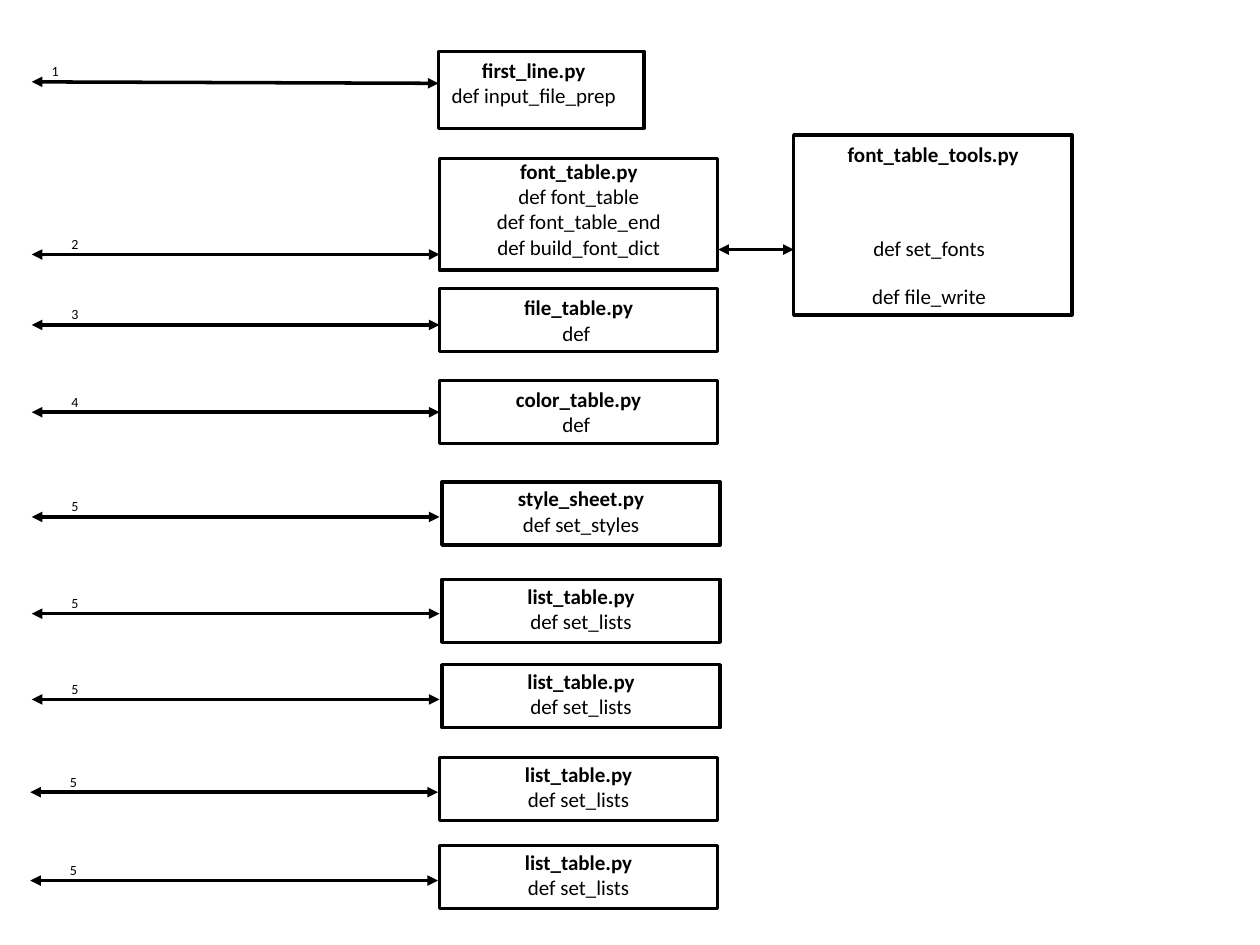
from pptx import Presentation
from pptx.dml.color import RGBColor as Rgb
from pptx.enum.shapes import MSO_CONNECTOR as Conn, MSO_SHAPE as Kind
from pptx.enum.text import MSO_AUTO_SIZE as Fit, PP_ALIGN as Align
from pptx.oxml.ns import qn
from pptx.util import Cm, Pt
from lxml.etree import SubElement as Sub

INK = "000000"
BOX_W, BOX_H = 5.61, 1.27


def ink(color, code):
    color.rgb = Rgb.from_string(code)


def add_box(slide, left, top, width, height):
    box = slide.shapes.add_shape(
        Kind.RECTANGLE, Cm(left), Cm(top), Cm(width), Cm(height))
    box.shadow.inherit = False
    box.fill.background()
    ink(box.line.color, INK)
    box.line.width = Pt(2)


def add_text(slide, text, left, top, width, height, size=12,
             align=Align.CENTER, wrap=True, title=False):
    box = slide.shapes.add_textbox(Cm(left), Cm(top), Cm(width), Cm(height))
    frame = box.text_frame
    frame.text = text
    frame.word_wrap = wrap
    frame.auto_size = Fit.SHAPE_TO_FIT_TEXT
    for i, para in enumerate(frame.paragraphs):
        para.alignment = align
        for run in para.runs:
            run.font.name = "Calibri"
            run.font.size = Pt(size)
            run.font.bold = title and i == 0
            ink(run.font.color, INK)


def add_arrow(slide, x1, y1, x2, y2):
    arrow = slide.shapes.add_connector(
        Conn.STRAIGHT, Cm(x1), Cm(y1), Cm(x2), Cm(y2))
    ink(arrow.line.color, INK)
    arrow.line.width = Pt(2)
    line = arrow.line._get_or_add_ln()
    for end in ("a:headEnd", "a:tailEnd"):
        Sub(line, qn(end), type="triangle")
    Sub(arrow._element.spPr, qn("a:effectLst"))


def add_label(slide, text, left, line_y):
    add_text(slide, text, left, line_y - 0.51, 0.97, 0.61, 8, Align.LEFT)


def add_row(slide, mark, line_y, start, left, top, text, width, rise):
    add_arrow(slide, start, line_y, start + 8.22, line_y)
    add_label(slide, mark, start + 0.55, line_y)
    add_box(slide, left, top, BOX_W, BOX_H)
    add_text(slide, text, left + (BOX_W - width) / 2, top - rise,
             width, BOX_H, wrap=width == BOX_W, title=True)


def add_first(slide):
    add_arrow(slide, 0.64, 1.65, 8.84, 1.68)
    add_label(slide, "1", 0.79, 1.65)
    add_box(slide, 8.84, 1.04, 4.14, 1.55)
    add_text(slide, "first_line.py\ndef input_file_prep",
             8.84, 1.04, 3.84, BOX_H, wrap=False, title=True)


def add_fonts(slide):
    add_box(slide, 8.86, 3.2, BOX_W, 2.24)
    add_text(slide, "font_table.py\ndef font_table\ndef font_table_end\n"
             "def build_font_dict", 9.75, 3.07, 3.84, 2.31,
             wrap=False, title=True)
    add_arrow(slide, 0.64, 5.13, 8.86, 5.13)
    add_label(slide, "2", 1.19, 5.13)
    add_box(slide, 16, 2.72, BOX_W, 3.63)
    add_text(slide, "font_table_tools.py", 16.81, 2.72, 4.01, 0.76,
             wrap=False, title=True)
    for text, top in (("def set_fonts", 4.62), ("def file_write", 5.59)):
        add_text(slide, text, 16.33, top, 4.8, 0.76)
    add_arrow(slide, 14.48, 5.03, 16, 5.03)


def main():
    deck = Presentation()
    deck.slide_width, deck.slide_height = Cm(25.4), Cm(19.05)
    slide = deck.slides.add_slide(deck.slide_layouts[6])
    add_first(slide)
    add_fonts(slide)
    lists = "list_table.py\ndef set_lists"
    rows = [
        ("3", 6.55, 0.64, 8.86, 5.82, "file_table.py\ndef ", BOX_W, 0),
        ("4", 8.31, 0.64, 8.86, 7.67, "color_table.py\ndef ", BOX_W, 0),
        ("5", 10.42, 0.64, 8.91, 9.72, "style_sheet.py\ndef set_styles",
         3.07, 0.05),
        ("5", 12.37, 0.64, 8.91, 11.68, lists, 2.72, 0.05),
        ("5", 14.1, 0.64, 8.91, 13.4, lists, 2.72, 0.05),
        ("5", 15.97, 0.61, 8.86, 15.27, lists, 2.72, 0.05),
        ("5", 17.75, 0.61, 8.86, 17.05, lists, 2.72, 0.05),
    ]
    for row in rows:
        add_row(slide, *row)
    deck.save("out.pptx")


main()
